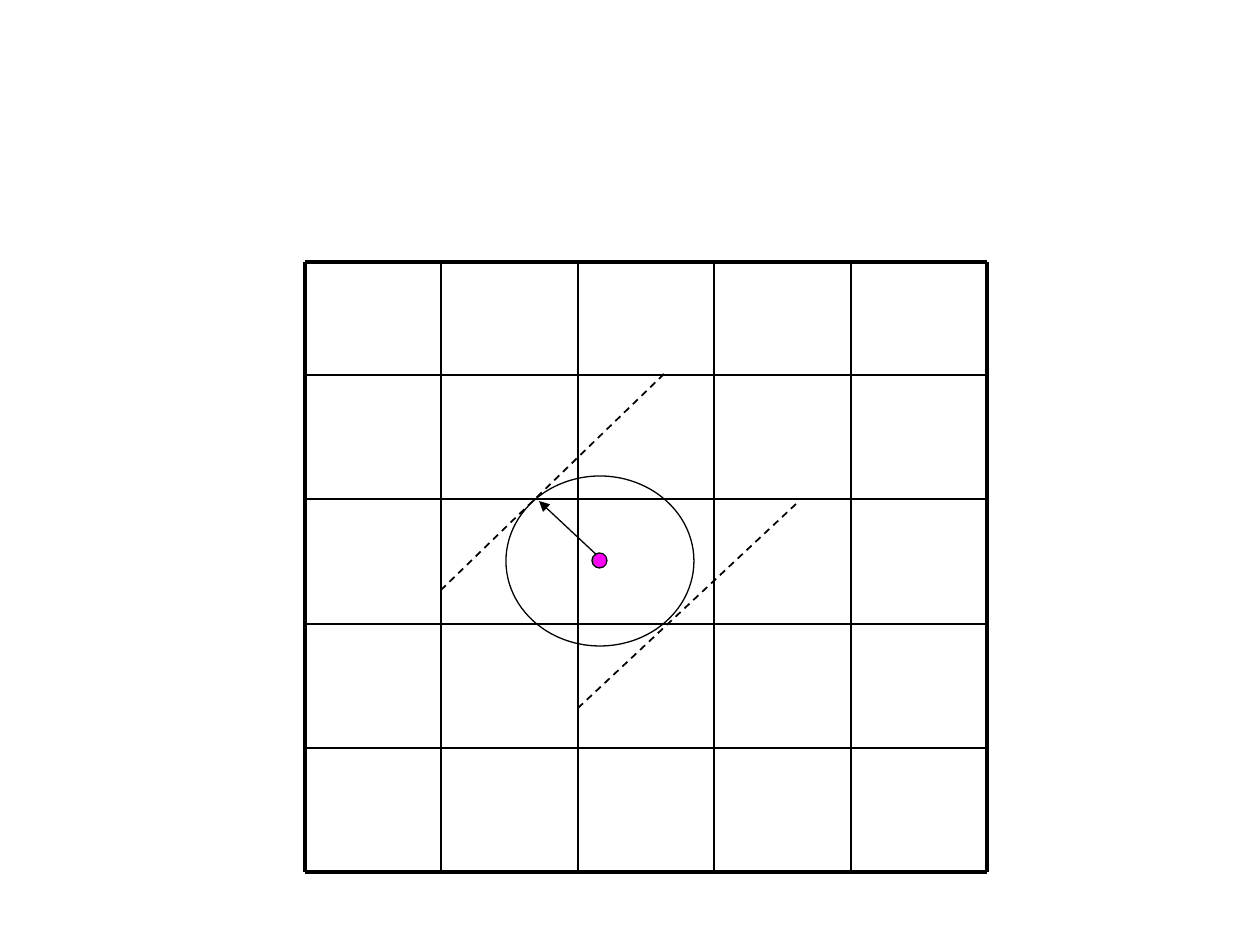
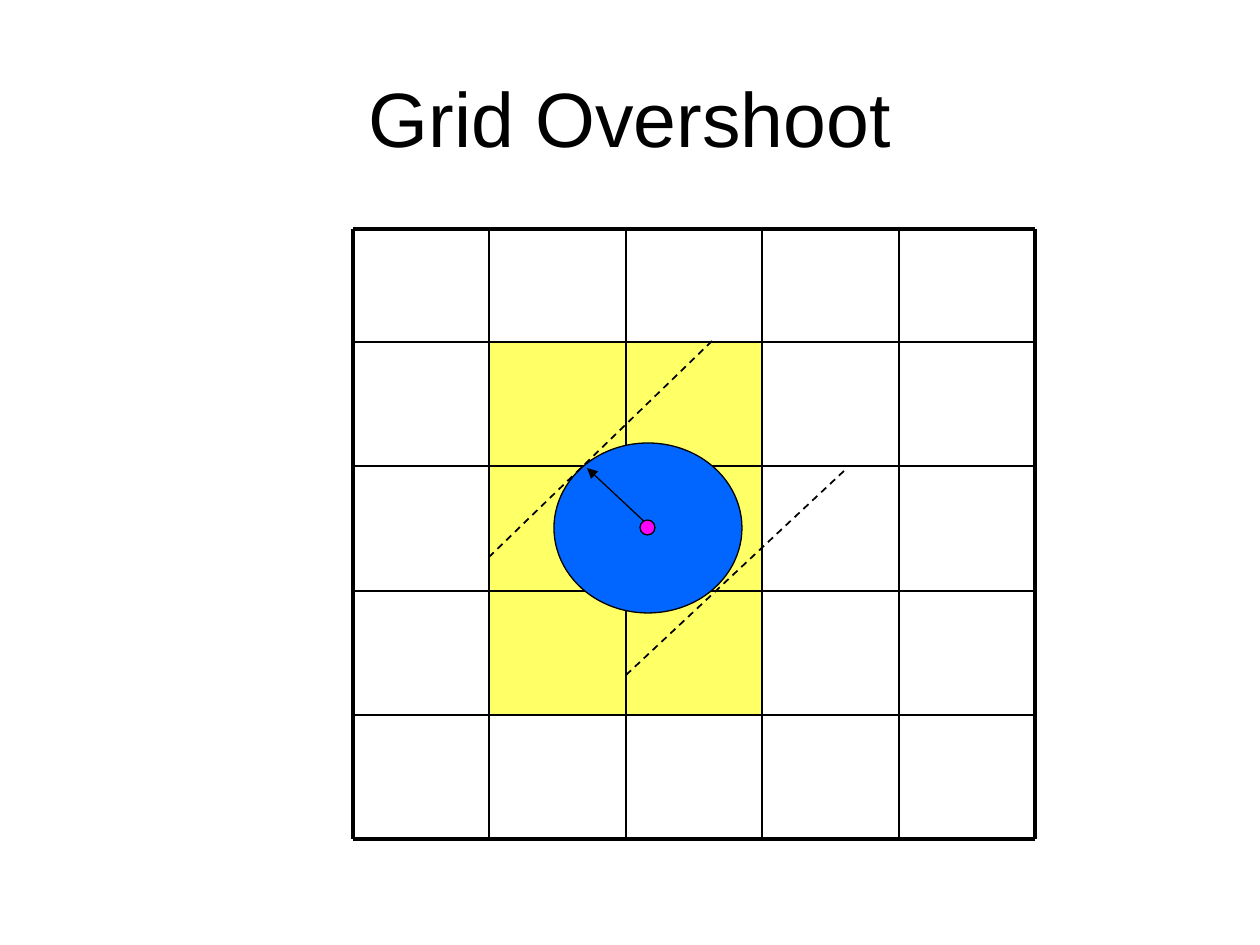
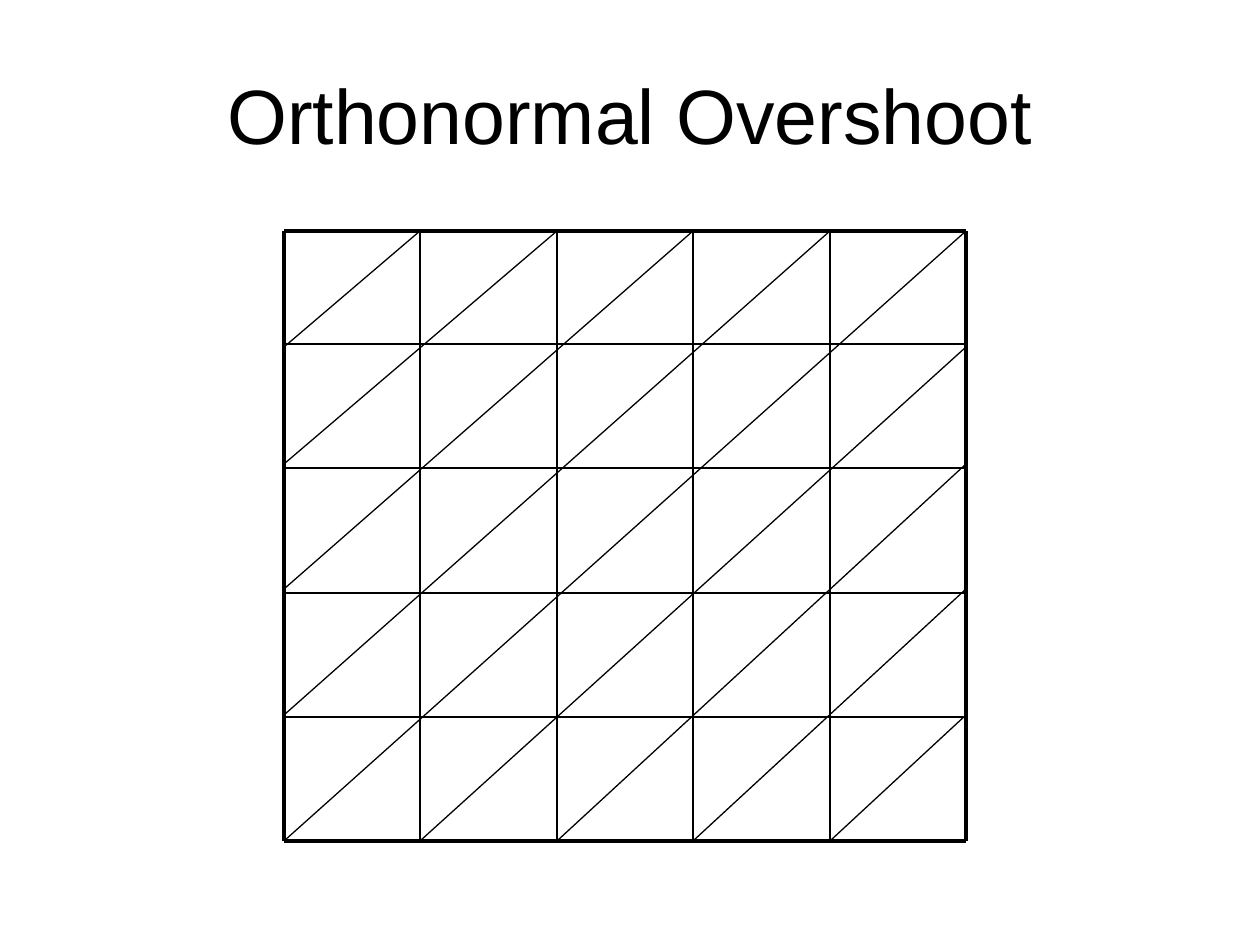
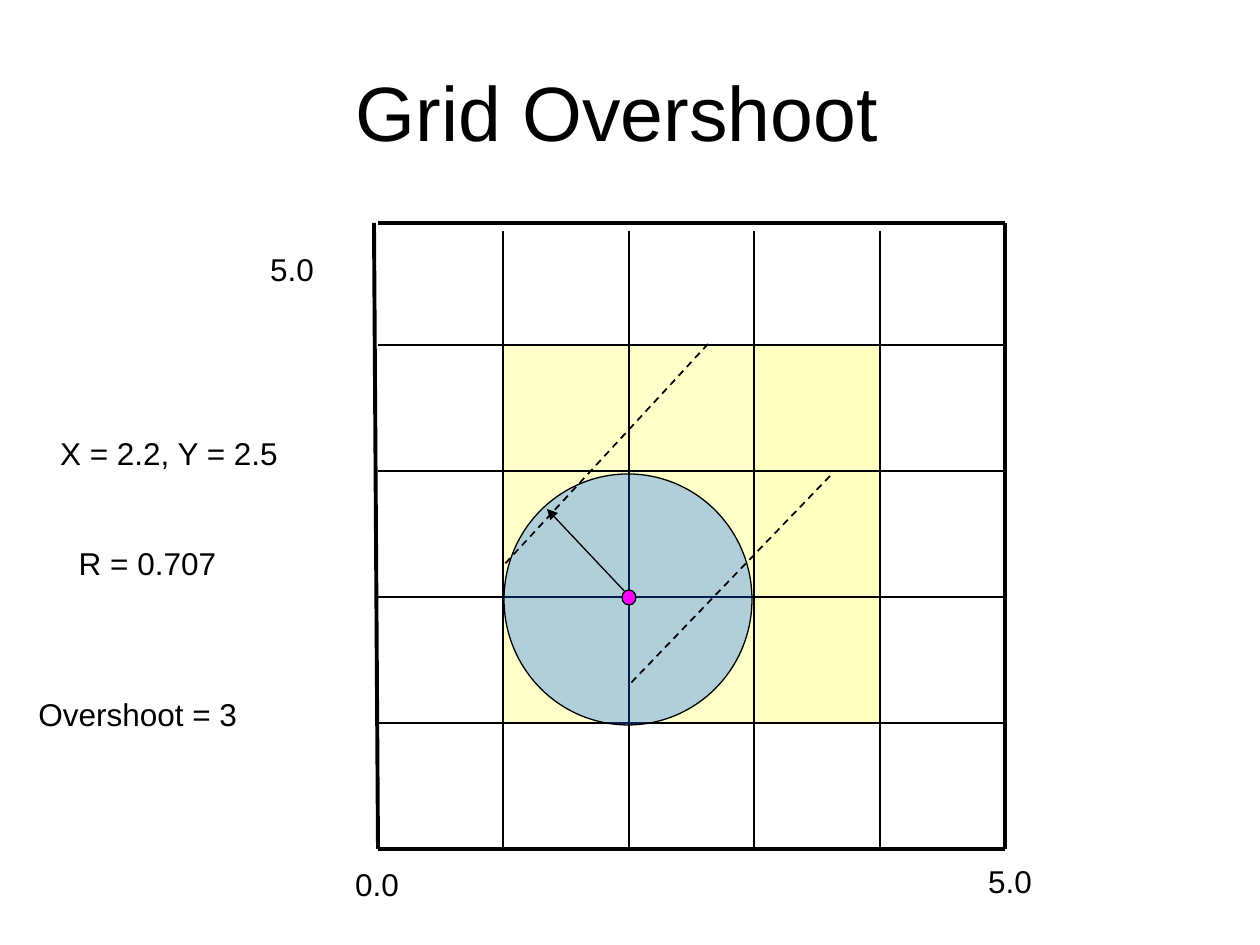
import dataclasses

import lxml.etree
import pptx
import pptx.dml.color
import pptx.enum.dml
import pptx.enum.shapes
import pptx.enum.text
import pptx.oxml.ns
import pptx.util

PX = 914400 / 126  # EMU in one px
SLIDE_SIZE = (1260, 945)
TITLE_SIZE = (1134, 158)
TITLE_ONLY, BLANK = 5, 6
LABEL_HEIGHT = 50

SHAPES = pptx.enum.shapes.MSO_SHAPE
ALIGN = pptx.enum.text.PP_ALIGN
ANCHOR = pptx.enum.text.MSO_ANCHOR


@dataclasses.dataclass(frozen=True)
class Theme:
    ink: str = "000000"
    cell: str = "FFFF66"
    circle: str = "0066FF"
    dot: str = "FF00FF"
    font: str = "Arial"
    title_size: int = 44
    label_size: int = 18
    label_space: float = 11.2
    border: float = 2.25
    rule: float = 1
    thin: float = 0.75


THEME = Theme()


@dataclasses.dataclass(frozen=True)
class Grid:
    """A box of five by five cells whose first row has its own height."""
    left: int
    top: int
    width: int = 682
    height: int = 610
    first_row: int = 113
    inner_top: int = 0  # gap above the inner columns
    lean: int = 0  # how far the left border leans out at the top
    count: int = 5

    def columns(self):
        return [round(self.width * i / self.count) for i in range(self.count + 1)]

    def rows(self):
        step = (self.height - self.first_row) / (self.count - 1)
        return [0] + [round(self.first_row + step * i) for i in range(self.count)]

    def point(self, x, y):
        return self.left + x, self.top + y


@dataclasses.dataclass(frozen=True)
class Overshoot:
    """Circle, radius arrow, centre dot and tangents, relative to a grid."""
    circle: tuple
    arrow: tuple
    dot: tuple
    tangents: tuple


WIDE = Overshoot(
    circle=(201, 214, 188, 170),
    arrow=((296, 297), (234, 239)),
    dot=(287, 291, 15, 15),
    tangents=(((359, 112), (135, 329)), ((491, 242), (272, 447))),
)
SQUARE = Overshoot(
    circle=(126, 251, 248, 251),
    arrow=((251, 373), (169, 286)),
    dot=(244, 367, 14, 15),
    tangents=(((330, 121), (125, 343)), ((452, 253), (251, 462))),
)


# Basic parts

def emu(*lengths):
    return [pptx.util.Emu(round(length * PX)) for length in lengths]


def rgb(color):
    return pptx.dml.color.RGBColor.from_string(color)


def set_all(target, values):
    for name, value in values.items():
        setattr(target, name, value)


def add_xml(parent, tag, **attributes):
    return lxml.etree.SubElement(parent, pptx.oxml.ns.qn(tag), attributes)


def add_line(slide, grid, start, end, weight, dashed=False, arrow=False):
    connector = slide.shapes.add_connector(
        pptx.enum.shapes.MSO_CONNECTOR.STRAIGHT,
        *emu(*grid.point(*start), *grid.point(*end)))
    connector.line.color.rgb = rgb(THEME.ink)
    connector.line.width = pptx.util.Pt(weight)
    if dashed:
        connector.line.dash_style = pptx.enum.dml.MSO_LINE.DASH
    properties = connector.element.spPr
    if arrow:
        add_xml(properties.find(pptx.oxml.ns.qn("a:ln")), "a:tailEnd", type="triangle")
    add_xml(properties, "a:effectLst")


def add_shape(slide, grid, kind, box, fill=None, opacity=100, outlined=True):
    x, y, width, height = box
    shape = slide.shapes.add_shape(kind, *emu(*grid.point(x, y), width, height))
    shape.shadow.inherit = False
    if fill:
        shape.fill.solid()
        shape.fill.fore_color.rgb = rgb(fill)
        if opacity < 100:
            color = shape.element.spPr.find(".//" + pptx.oxml.ns.qn("a:srgbClr"))
            add_xml(color, "a:alpha", val=str(opacity * 1000))
    else:
        shape.fill.background()
    if outlined:
        shape.line.color.rgb = rgb(THEME.ink)
        shape.line.width = pptx.util.Pt(THEME.thin)
    else:
        shape.line.fill.background()


def write(shape, text, size, frame_format, paragraph_format):
    frame = shape.text_frame
    frame.text = text
    set_all(frame, {"word_wrap": True, **frame_format})
    paragraph = frame.paragraphs[0]
    set_all(paragraph, paragraph_format)
    font = paragraph.runs[0].font
    set_all(font, {"name": THEME.font, "size": pptx.util.Pt(size)})
    font.color.rgb = rgb(THEME.ink)


# Regions

def add_slide(presentation, title=None, corner=(63, 38)):
    layout = presentation.slide_layouts[TITLE_ONLY if title else BLANK]
    slide = presentation.slides.add_slide(layout)
    if title:
        box = emu(*corner, *TITLE_SIZE)
        set_all(slide.shapes.title, dict(zip(("left", "top", "width", "height"), box)))
        write(slide.shapes.title, title, THEME.title_size,
              {"vertical_anchor": ANCHOR.MIDDLE}, {"alignment": ALIGN.CENTER})
    return slide


def draw_cells(slide, grid, opacities):
    """Shade the middle rows, one column for each opacity."""
    columns, rows = grid.columns(), grid.rows()
    for column, opacity in enumerate(opacities, start=1):
        for row in range(1, 4):
            box = (columns[column], rows[row],
                   columns[column + 1] - columns[column], rows[row + 1] - rows[row])
            add_shape(slide, grid, SHAPES.RECTANGLE, box, THEME.cell, opacity, outlined=False)


def draw_grid(slide, grid):
    for y in grid.rows():
        weight = THEME.border if y in (0, grid.height) else THEME.rule
        add_line(slide, grid, (0, y), (grid.width, y), weight)
    for x in grid.columns():
        outer = x in (0, grid.width)
        start = (x if x else -grid.lean, 0 if outer else grid.inner_top)
        add_line(slide, grid, start, (x, grid.height), THEME.border if outer else THEME.rule)


def draw_overshoot(slide, grid, parts, fill=None, opacity=100):
    add_shape(slide, grid, SHAPES.OVAL, parts.circle, fill, opacity)
    add_line(slide, grid, *parts.arrow, THEME.thin, arrow=True)
    add_shape(slide, grid, SHAPES.OVAL, parts.dot, THEME.dot)
    for tangent in parts.tangents:
        add_line(slide, grid, *tangent, THEME.rule, dashed=True)


def draw_diagonals(slide, grid):
    heights = (116, 233, 358, 484, grid.height)
    columns = grid.columns()[1:]
    for x, y in zip(columns, heights):
        add_line(slide, grid, (x, 0), (0, y), THEME.thin)
    for x, y in zip(columns[:-1], heights):
        add_line(slide, grid, (grid.width, y), (x, grid.height), THEME.thin)


def draw_labels(slide, grid, labels):
    for text, x, y, width, alignment in labels:
        box = slide.shapes.add_textbox(*emu(*grid.point(x, y), width, LABEL_HEIGHT))
        write(box, text, THEME.label_size,
              {"auto_size": pptx.enum.text.MSO_AUTO_SIZE.SHAPE_TO_FIT_TEXT},
              {"alignment": alignment, "space_before": pptx.util.Pt(THEME.label_space)})


# Slides

def build_plain_overshoot(presentation):
    slide = add_slide(presentation)
    grid = Grid(305, 262)
    draw_grid(slide, grid)
    draw_overshoot(slide, grid, WIDE)


def build_grid_overshoot(presentation):
    slide = add_slide(presentation, "Grid Overshoot")
    grid = Grid(353, 229)
    draw_cells(slide, grid, (100, 100))
    draw_grid(slide, grid)
    draw_overshoot(slide, grid, WIDE, THEME.circle)


def build_orthonormal_overshoot(presentation):
    slide = add_slide(presentation, "Orthonormal Overshoot", (63, 35))
    grid = Grid(284, 231)
    draw_grid(slide, grid)
    draw_diagonals(slide, grid)


def build_measured_overshoot(presentation):
    slide = add_slide(presentation, "Grid Overshoot", (50, 32))
    grid = Grid(378, 223, 627, 626, first_row=122, inner_top=8, lean=4)
    draw_cells(slide, grid, (35, 35, 40))
    draw_grid(slide, grid)
    draw_overshoot(slide, grid, SQUARE, THEME.circle, opacity=31)
    draw_labels(slide, grid, (
        ("0.0", -71, 636, 140, ALIGN.CENTER),
        ("5.0", -156, 21, 140, ALIGN.CENTER),
        ("5.0", 562, 633, 140, ALIGN.CENTER),
        ("X = 2.2, Y = 2.5", -338, 205, 258, ALIGN.CENTER),
        ("R = 0.707", -338, 315, 215, ALIGN.CENTER),
        ("Overshoot = 3", -352, 466, 335, ALIGN.LEFT),
    ))


def main():
    presentation = pptx.Presentation()
    width, height = emu(*SLIDE_SIZE)
    set_all(presentation, {"slide_width": width, "slide_height": height})
    for build in (build_plain_overshoot, build_grid_overshoot,
                  build_orthonormal_overshoot, build_measured_overshoot):
        build(presentation)
    presentation.save("out.pptx")


if __name__ == "__main__":
    main()
